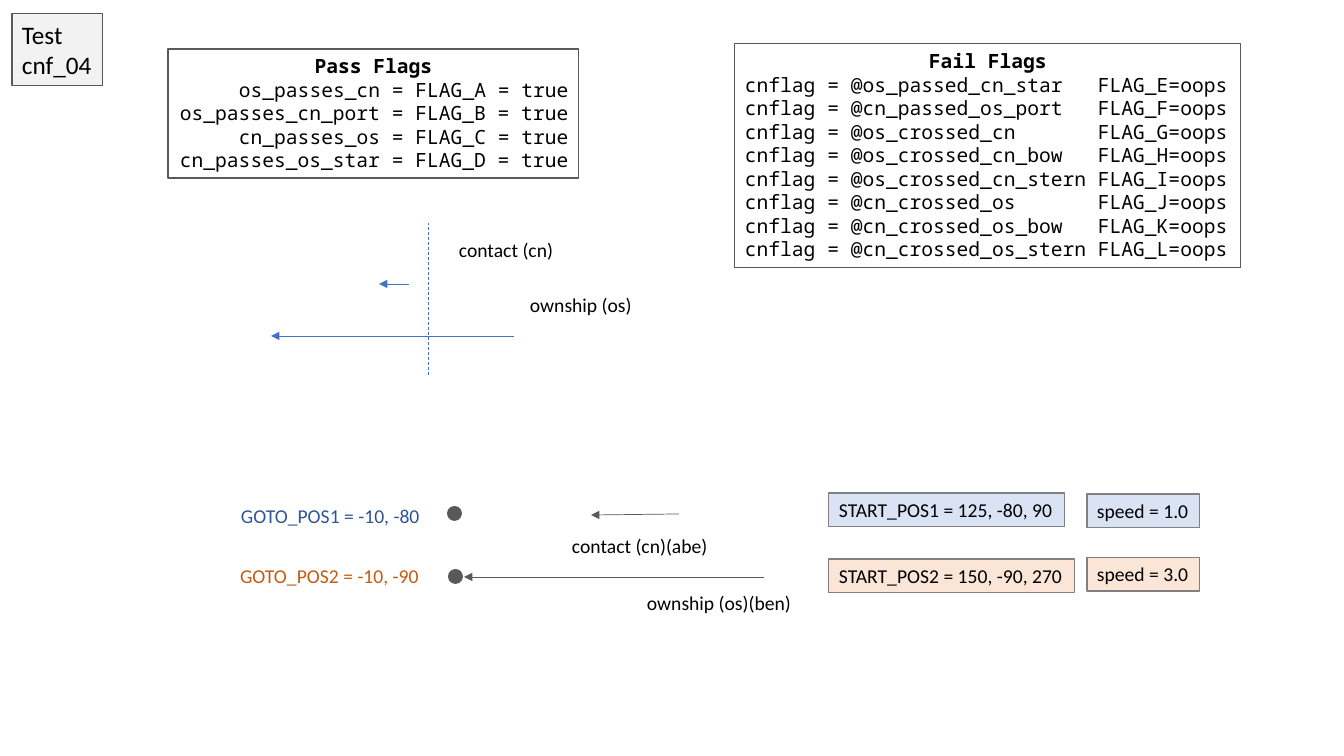
from lxml.etree import SubElement
from pptx import Presentation
from pptx.dml.color import RGBColor
from pptx.enum.dml import MSO_LINE_DASH_STYLE as Dash
from pptx.enum.shapes import MSO_CONNECTOR as Connector, MSO_SHAPE as Preset
from pptx.enum.text import MSO_ANCHOR as Anchor, MSO_AUTO_SIZE as AutoSize, PP_ALIGN as Align
from pptx.oxml.ns import qn
from pptx.util import Emu, Pt

EMU_PER_PX = 914400 / 100.8
BLACK, DARK, GRAY, BLUE = "000000", "595959", "808080", "4472C4"
PALE_BLUE, PALE_ORANGE = "DAE3F3", "FBE5D6"
LABEL = {"name": "Calibri", "size": Pt(14), "bold": False}
TITLE = {**LABEL, "size": Pt(18)}
CODE = {**LABEL, "name": "Noto Sans Mono"}
HEADING = {**CODE, "bold": True}

PASS_FLAGS = [
    "os_passes_cn = FLAG_A = true",
    "os_passes_cn_port = FLAG_B = true",
    "cn_passes_os = FLAG_C = true",
    "cn_passes_os_star = FLAG_D = true",
]
FAIL_EVENTS = [
    "os_passed_cn_star", "cn_passed_os_port", "os_crossed_cn", "os_crossed_cn_bow",
    "os_crossed_cn_stern", "cn_crossed_os", "cn_crossed_os_bow", "cn_crossed_os_stern",
]
FAIL_FLAGS = [f"cnflag = @{event}\tFLAG_{letter}=oops"
              for event, letter in zip(FAIL_EVENTS, "EFGHIJKL")]
FLAG_COLUMN = 353


def px(*lengths):
    return [Emu(round(length * EMU_PER_PX)) for length in lengths]


def color(value):
    return RGBColor.from_string(value)


def paint(shape, fill=None, line=None):
    shape.shadow.inherit = False
    if fill:
        shape.fill.solid()
        shape.fill.fore_color.rgb = color(fill)
    else:
        shape.fill.background()
    if line:
        shape.line.color.rgb = color(line)
        shape.line.width = Pt(0.75)
    else:
        shape.line.fill.background()


def add_para(frame, text, style=LABEL, ink=BLACK, align=Align.LEFT, first=False):
    para = frame.paragraphs[0] if first else frame.add_paragraph()
    para.alignment = align
    if "\t" in text:
        tabs = SubElement(para._p.get_or_add_pPr(), qn("a:tabLst"))
        SubElement(tabs, qn("a:tab"), pos=str(px(FLAG_COLUMN)[0]), algn="l")
    span = para.add_run()
    span.text = text
    for key, value in style.items():
        setattr(span.font, key, value)
    span.font.color.rgb = color(ink)


def fit_frame(shape):
    frame = shape.text_frame
    settings = {"word_wrap": False, "auto_size": AutoSize.SHAPE_TO_FIT_TEXT,
                "vertical_anchor": Anchor.TOP}
    for key, value in settings.items():
        setattr(frame, key, value)
    return frame


def add_box(page, bounds, line, fill=None):
    box = page.shapes.add_shape(Preset.RECTANGLE, *px(*bounds))
    paint(box, fill, line)
    return fit_frame(box)


def add_label(page, text, bounds, ink=BLACK, align=Align.LEFT):
    box = page.shapes.add_textbox(*px(*bounds))
    add_para(fit_frame(box), text, ink=ink, align=align, first=True)


def add_flags(page, bounds, heading, flags, align):
    frame = add_box(page, bounds, DARK)
    add_para(frame, heading, HEADING, align=Align.CENTER, first=True)
    for flag in flags:
        add_para(frame, flag, CODE, align=align)


def add_line(page, start, end, ink, arrow=True):
    line = page.shapes.add_connector(Connector.STRAIGHT, *px(*start, *end))
    line.line.color.rgb = color(ink)
    line.line.width = Pt(0.5)
    if arrow:
        SubElement(line.line._get_or_add_ln(), qn("a:tailEnd"), type="triangle")
    else:
        line.line.dash_style = Dash.DASH
    SubElement(line._element.spPr, qn("a:effectLst"))


def main():
    deck = Presentation()
    deck.slide_width, deck.slide_height = px(1344, 756)
    page = deck.slides.add_slide(deck.slide_layouts[6])

    # Test name and flag lists
    name = add_box(page, (12, 14, 91, 72), DARK, "F2F2F2")
    add_para(name, "Test", TITLE, first=True)
    add_para(name, "cnf_04", TITLE)
    add_flags(page, (168, 49, 411, 129), "Pass Flags", PASS_FLAGS, Align.RIGHT)
    add_flags(page, (735, 44, 506, 224), "Fail Flags", FAIL_FLAGS, Align.LEFT)

    # Passing sketch
    add_line(page, (428, 375), (428, 223), BLUE, arrow=False)
    add_line(page, (409, 284), (379, 284), BLUE)
    add_line(page, (514, 336), (271, 336), BLUE)
    add_label(page, "contact (cn)", (449, 233, 115, 34))
    add_label(page, "ownship (os)", (520, 288, 123, 34))

    # Tracks to the goal points
    add_line(page, (679, 514), (591, 515), DARK)
    add_line(page, (764, 577), (464, 577), DARK)
    for left, top in [(447, 506), (448, 569)]:
        goal = page.shapes.add_shape(Preset.OVAL, *px(left, top, 15, 15))
        paint(goal, DARK)
    add_label(page, "contact (cn)(abe)", (562, 529, 157, 34))
    add_label(page, "ownship (os)(ben)", (637, 586, 166, 34))
    add_label(page, "GOTO_POS1 = -10, -80", (231, 499, 206, 34), "2F5597")
    add_label(page, "GOTO_POS2 = -10, -90", (229, 559, 201, 34), "C55A11", Align.CENTER)

    # Start positions and speeds
    for text, bounds, fill in [
        ("START_POS1 = 125, -80, 90", (829, 493, 236, 34), PALE_BLUE),
        ("START_POS2 = 150, -90, 270", (829, 559, 246, 34), PALE_ORANGE),
        ("speed = 1.0", (1087, 494, 113, 34), PALE_BLUE),
        ("speed = 3.0", (1087, 557, 113, 34), PALE_ORANGE),
    ]:
        add_para(add_box(page, bounds, GRAY, fill), text, first=True)

    deck.save("out.pptx")


if __name__ == "__main__":
    main()
